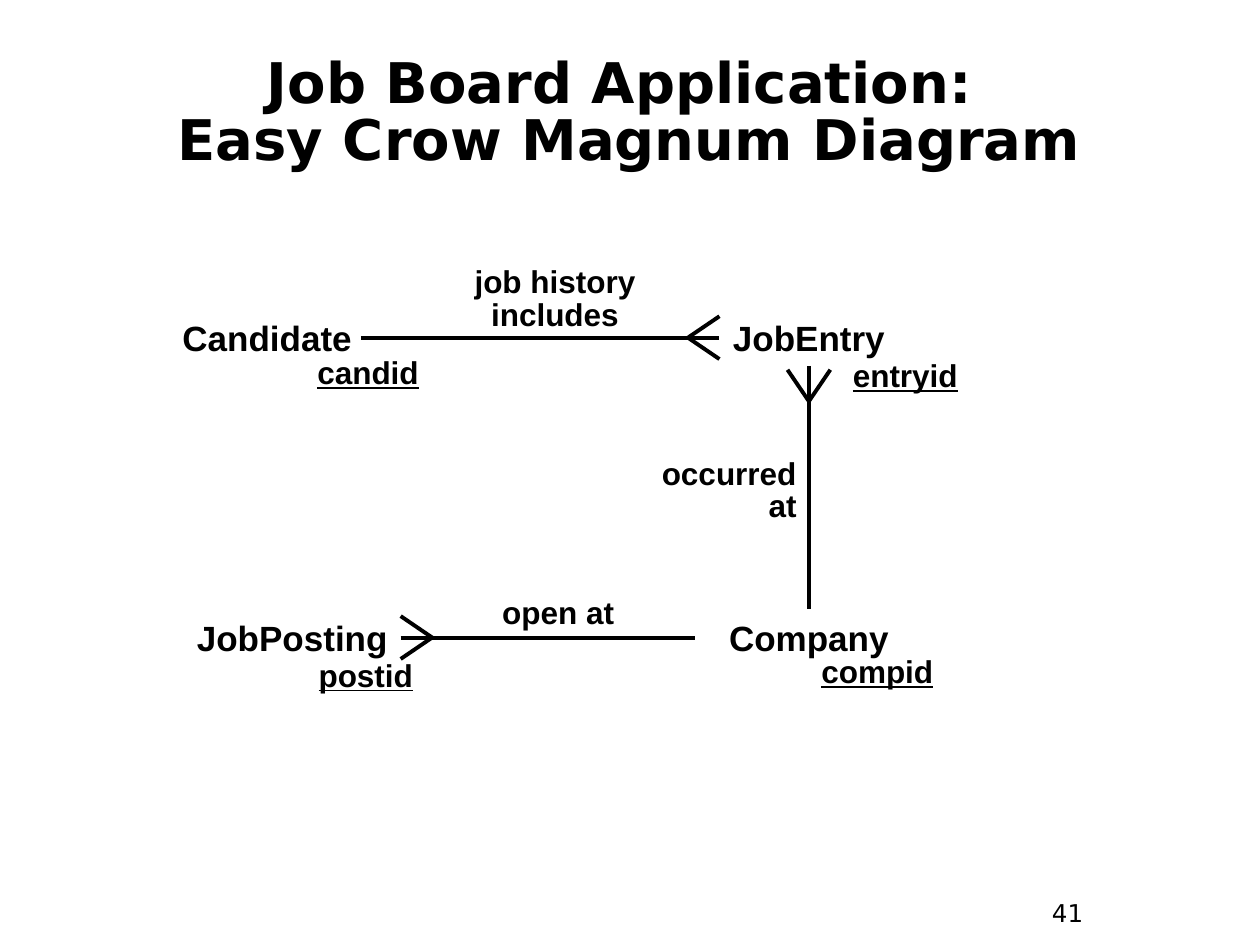
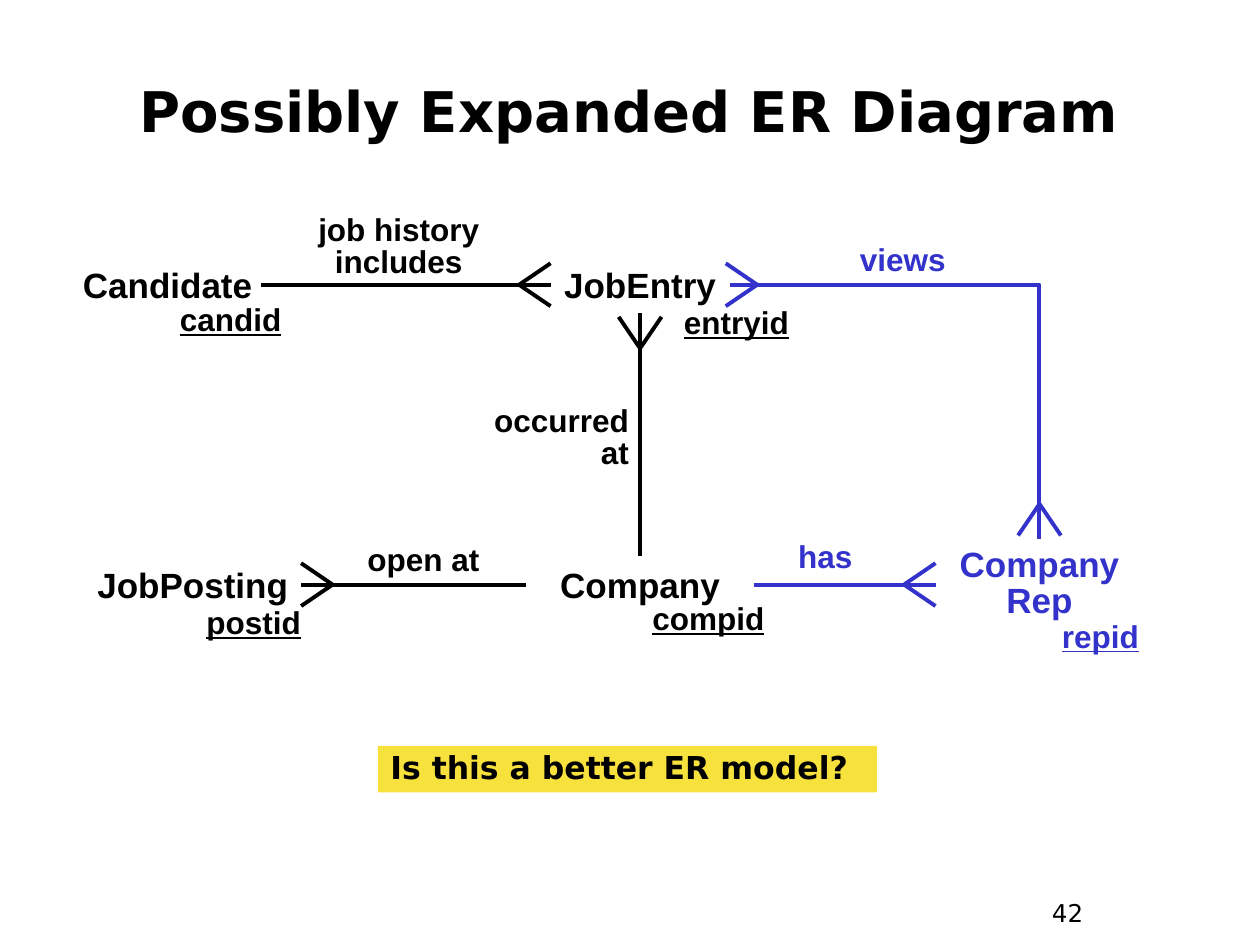
import pptx
import pptx.util
import pptx.dml.color
import pptx.enum.shapes
import pptx.enum.text
import pptx.oxml.ns
import lxml.etree

COLORS = {"ink": "000000", "paper": "FFFFFF", "new": "3333CC", "note": "F7E13D"}
ALIGN = pptx.enum.text.PP_ALIGN
SLIDE_WIDTH, SLIDE_HEIGHT = 10, 7.5
TOE_LENGTH, TOE_SPREAD = 0.25, 0.17

SIDES = {"left": (-1, 0), "right": (1, 0), "top": (0, -1), "bottom": (0, 1)}

BASE_ENTITIES = [
    ("Candidate", "left", -0.1, "top", 1.49, 0.45, "ink"),
    ("JobPosting", "left", 0.1, "bottom", 1.72, 0.56, "ink"),
    ("JobEntry", "middle", 0, "top", 1.42, 0.45, "ink"),
    ("Company", "middle", 0, "bottom", 1.81, 0.45, "ink"),
]
BASE_LINKS = [
    ("Candidate", "right", "JobEntry", "left", "ink"),
    ("JobPosting", "right", "Company", "left", "ink"),
    ("JobEntry", "bottom", "Company", "top", "ink"),
]
BASE_FEET = [
    ("JobEntry", "left", 0, "ink"),
    ("JobPosting", "right", 0, "ink"),
    ("JobEntry", "bottom", 0.03, "ink"),
]
REP = "Company\vRep"

LABEL_FORMS = {
    "job history includes": ("top", -0.6, 2.33, 0.61, ALIGN.CENTER, False),
    "open at": ("bottom", -0.36, 1.72, 0.36, ALIGN.CENTER, False),
    "occurred\vat": ("top", 0.92, 1.49, 0.61, ALIGN.RIGHT, False),
    "has": ("bottom", -0.38, 1.72, 0.36, ALIGN.CENTER, False),
    "views": ("top", -0.36, 2.33, 0.36, ALIGN.CENTER, False),
    "candid": ("top", 0.12, 1.33, 0.36, ALIGN.LEFT, True),
    "postid": ("bottom", 0.14, 1.72, 0.36, ALIGN.LEFT, True),
    "entryid": ("top", 0.14, 1.33, 0.36, ALIGN.LEFT, True),
    "compid": ("bottom", 0.11, 1.25, 0.36, ALIGN.LEFT, True),
    "repid": ("bottom", 0.25, 1.25, 0.36, ALIGN.LEFT, True),
}

SLIDES = [
    {
        "title": "Job Board Application: \vEasy Crow Magnum Diagram",
        "number": "41",
        "columns": {"left": 2.22, "middle": 6.42},
        "rows": {"top": 2.68, "bottom": 5.06},
        "entities": BASE_ENTITIES,
        "links": BASE_LINKS,
        "feet": BASE_FEET,
        "labels": {"job history includes": 3.24, "open at": 3.57, "occurred\vat": 4.93,
                   "candid": 2.42, "postid": 2.43, "entryid": 6.67, "compid": 6.42},
        "new_labels": {},
        "question": None,
    },
    {
        "title": "Possibly Expanded ER Diagram",
        "number": "42",
        "columns": {"left": 1.43, "middle": 5.08, "right": 8.25},
        "rows": {"top": 2.26, "bottom": 4.64},
        "entities": BASE_ENTITIES + [(REP, "right", 0, "bottom", 1.65, 0.72, "new")],
        "links": BASE_LINKS + [("Company", "right", REP, "left", "new"),
                               ("JobEntry", "right", REP, "top", "new")],
        "feet": BASE_FEET + [(REP, "left", 0, "new"), ("JobEntry", "right", -0.03, "new"),
                             (REP, "top", 0.03, "new")],
        "labels": {"job history includes": 2, "open at": 2.5, "occurred\vat": 3.6,
                   "candid": 1.33, "postid": 1.54, "entryid": 5.33, "compid": 5.08},
        "new_labels": {"has": 5.69, "views": 6, "repid": 8.33},
        "question": "Is this a better ER model?",
    },
]


def inches(*lengths):
    return [pptx.util.Inches(length) for length in lengths]


def rgb(name):
    return pptx.dml.color.RGBColor.from_string(COLORS[name])


def add_text(page, text, at, size, font="Arial", color="ink", align=ALIGN.LEFT, bold=True,
             underline=False, spacing=0.85, middle=False, wrap=True, fill=None):
    if fill:
        box = page.shapes.add_shape(pptx.enum.shapes.MSO_SHAPE.RECTANGLE, *inches(*at))
        box.shadow.inherit = False
        box.fill.solid()
        box.fill.fore_color.rgb = rgb(fill)
        box.line.fill.background()
    else:
        box = page.shapes.add_textbox(*inches(*at))
    frame = box.text_frame
    frame.text = text
    frame.word_wrap = wrap
    anchors = pptx.enum.text.MSO_ANCHOR
    frame.vertical_anchor = anchors.MIDDLE if middle else anchors.TOP
    para = frame.paragraphs[0]
    para.alignment = align
    para.line_spacing = spacing
    for span in para.runs:
        span.font.name = font
        span.font.size = pptx.util.Pt(size)
        span.font.bold = bold
        span.font.underline = underline
        span.font.color.rgb = rgb(color)


def add_line(page, start, end, color):
    kinds = pptx.enum.shapes.MSO_CONNECTOR
    bent = start[0] != end[0] and start[1] != end[1]
    line = page.shapes.add_connector(kinds.STRAIGHT, *inches(*start, *end))
    line.line.color.rgb = rgb(color)
    line.line.width = pptx.util.Pt(2.25)
    properties = line._element.spPr
    lxml.etree.SubElement(properties, pptx.oxml.ns.qn("a:effectLst"))
    return line, bent


def add_link(page, start, end, color):
    line, bent = add_line(page, start, end, color)
    if bent:
        line._element.spPr.prstGeom.set("prst", "bentConnector2")


def add_foot(page, port, side, gap, color):
    dx, dy = SIDES[side]
    x, y = port[0] + dx * gap, port[1] + dy * gap
    apex = (x + dx * TOE_LENGTH, y + dy * TOE_LENGTH)
    for spread in (-TOE_SPREAD, TOE_SPREAD):
        add_line(page, apex, (x + dy * spread, y + dx * spread), color)


def draw_diagram(page, content):
    columns, rows = content["columns"], content["rows"]
    places = {}
    for name, column, shift, row, width, height, color in content["entities"]:
        x, y = columns[column] + shift, rows[row]
        places[name] = (x, y, width, height)
        add_text(page, name, (x - width / 2, y - height / 2, width, height), 20, color=color,
                 align=ALIGN.CENTER, spacing=0.85 if "\v" in name else 1, middle=True,
                 wrap=False, fill="paper")

    def port(name, side):
        x, y, width, height = places[name]
        dx, dy = SIDES[side]
        return x + dx * width / 2, y + dy * height / 2

    for first, first_side, second, second_side, color in content["links"]:
        add_link(page, port(first, first_side), port(second, second_side), color)
    for name, side, gap, color in content["feet"]:
        add_foot(page, port(name, side), side, gap, color)
    for key, color in (("labels", "ink"), ("new_labels", "new")):
        for text, left in content[key].items():
            row, drop, width, height, align, underline = LABEL_FORMS[text]
            add_text(page, text, (left, rows[row] + drop, width, height), 18, color=color,
                     align=align, underline=underline)


def main():
    deck = pptx.Presentation()
    deck.slide_width, deck.slide_height = inches(SLIDE_WIDTH, SLIDE_HEIGHT)
    for content in SLIDES:
        page = deck.slides.add_slide(deck.slide_layouts[6])
        add_text(page, content["number"], (8.25, 7.08, 0.75, 0.37), 14, "DejaVu Sans",
                 bold=False, spacing=1)
        add_text(page, content["title"], (0.33, 0.5, 9.33, 0.83), 32, "DejaVu Sans",
                 align=ALIGN.CENTER, middle=True)
        draw_diagram(page, content)
        if content["question"]:
            add_text(page, content["question"], (3, 5.92, 3.96, 0.37), 18, "DejaVu Sans",
                     spacing=0.9, fill="note")
    deck.save("out.pptx")


if __name__ == "__main__":
    main()
